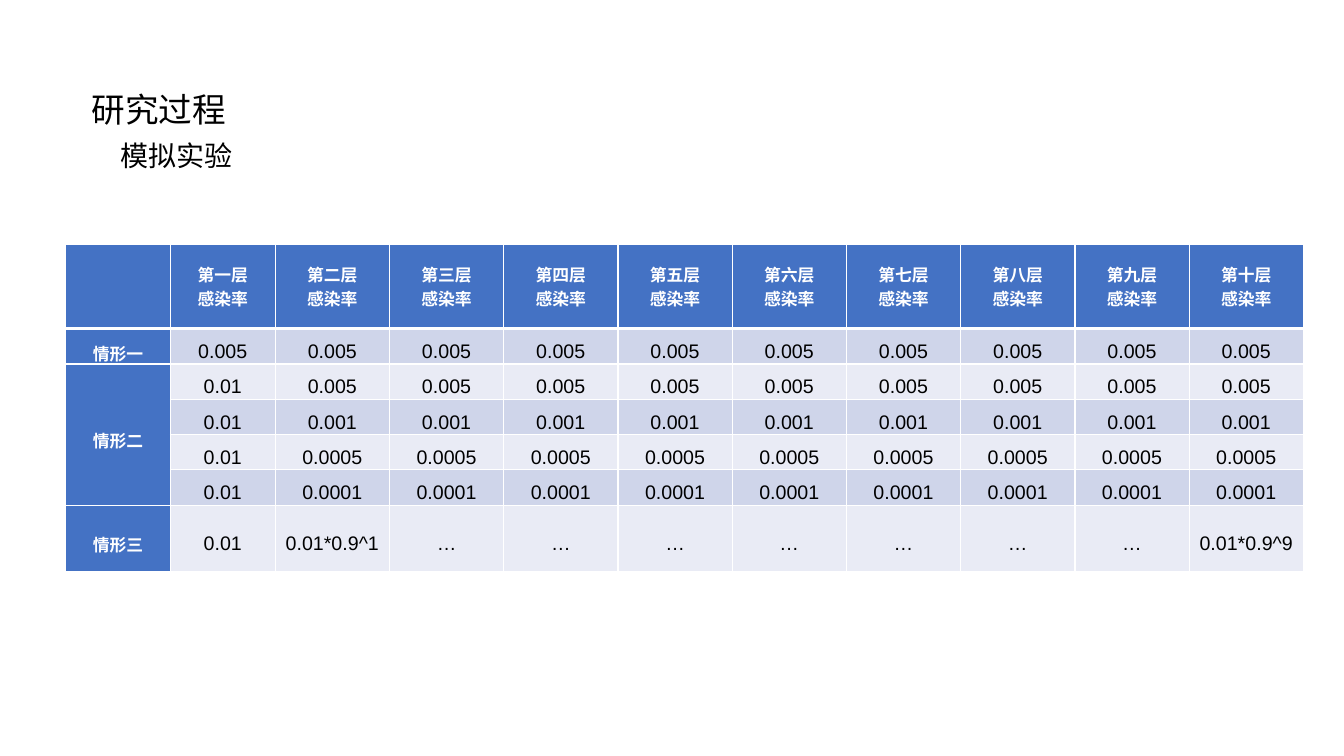
from dataclasses import dataclass

from lxml import etree
from pptx import Presentation, util as u
from pptx.dml import color
from pptx.enum import text
from pptx.oxml import ns

FONT = "Arial"
BLACK, WHITE, BLUE = "000000", "FFFFFF", "4472C4"
BANDS = ("CFD5EA", "E9EBF5")
LAYERS = "一二三四五六七八九十"
TABLE_WIDTH, NARROW_COLUMN = 12.28, 1.04
ROW_HEIGHTS = (0.84, 0.34, 0.34, 0.34, 0.34, 0.34, 0.66)
SCENARIO_TWO_ROWS = (2, 5)


@dataclass(frozen=True)
class Style:
    size: float
    color: str = BLACK
    bold: bool = False


@dataclass(frozen=True)
class Heading:
    words: str
    left: float
    top: float
    height: float
    size: float


@dataclass(frozen=True)
class Scenario:
    label: str
    rates: tuple[str, ...]


HEADINGS = (
    Heading("研究过程", 0.81, 0.83, 0.5, 24),
    Heading("模拟实验", 1.1, 1.33, 0.44, 20),
)
SCENARIOS = (
    Scenario("情形一", ("0.005",) * 10),
    Scenario("情形二", ("0.01",) + ("0.005",) * 9),
    Scenario("", ("0.01",) + ("0.001",) * 9),
    Scenario("", ("0.01",) + ("0.0005",) * 9),
    Scenario("", ("0.01",) + ("0.0001",) * 9),
    Scenario("情形三", ("0.01", "0.01*0.9^1") + ("…",) * 7 + ("0.01*0.9^9",)),
)
LABEL = Style(12, WHITE, True)
RATE = Style(14)


def rgb(value: str) -> color.RGBColor:
    return color.RGBColor.from_string(value)


def add_span(para, words: str, style: Style) -> None:
    span = para.add_run()
    span.text = words
    span.font.name = FONT
    span.font.size = u.Pt(style.size)
    span.font.bold = style.bold
    span.font.color.rgb = rgb(style.color)


def add_heading(page, heading: Heading) -> None:
    box = page.shapes.add_textbox(
        u.Inches(heading.left), u.Inches(heading.top), u.Inches(1.72), u.Inches(heading.height)
    )
    frame = box.text_frame
    frame.word_wrap = True
    frame.auto_size = text.MSO_AUTO_SIZE.SHAPE_TO_FIT_TEXT
    add_span(frame.paragraphs[0], heading.words, Style(heading.size))


def set_borders(cell, top: float, bottom: float) -> None:
    properties = cell._tc.get_or_add_tcPr()
    widths = {"a:lnL": 1, "a:lnR": 1, "a:lnT": top, "a:lnB": bottom}
    for position, (tag, width) in enumerate(widths.items()):
        line = etree.Element(ns.qn(tag), w=str(u.Pt(width)))
        fill = etree.SubElement(line, ns.qn("a:solidFill"))
        etree.SubElement(fill, ns.qn("a:srgbClr"), val=WHITE)
        properties.insert(position, line)


def fill_cell(cell, lines: tuple[str, ...], style: Style, fill: str, spacing: float) -> None:
    cell.fill.solid()
    cell.fill.fore_color.rgb = rgb(fill)
    cell.vertical_anchor = text.MSO_ANCHOR.MIDDLE
    cell.margin_left = cell.margin_right = u.Inches(0.07)
    cell.margin_top = cell.margin_bottom = 0
    frame = cell.text_frame
    for index, words in enumerate(lines):
        para = frame.add_paragraph() if index else frame.paragraphs[0]
        para.alignment = text.PP_ALIGN.CENTER
        para.line_spacing = spacing
        if words:
            add_span(para, words, style)


def add_rate_table(page) -> None:
    table = page.shapes.add_table(
        len(ROW_HEIGHTS), len(LAYERS) + 1,
        u.Inches(0.65), u.Inches(2.42), u.Inches(TABLE_WIDTH), u.Inches(sum(ROW_HEIGHTS)),
    ).table
    wide_column = (TABLE_WIDTH - 2 * NARROW_COLUMN) / (len(LAYERS) - 1)
    for index, column in enumerate(table.columns):
        column.width = u.Inches(NARROW_COLUMN if index < 2 else wide_column)
    for row, height in zip(table.rows, ROW_HEIGHTS):
        row.height = u.Inches(height)

    for index, layer in enumerate(LAYERS, 1):
        fill_cell(table.cell(0, index), (f"第{layer}层", "感染率"), LABEL, BLUE, 1)
    fill_cell(table.cell(0, 0), ("",), LABEL, BLUE, 1)
    for row, scenario in enumerate(SCENARIOS, 1):
        fill_cell(table.cell(row, 0), (scenario.label,), LABEL, BLUE, 1.5)
        for column, rate in enumerate(scenario.rates, 1):
            fill_cell(table.cell(row, column), (rate,), RATE, BANDS[(row - 1) % 2], 1.5)

    for row in range(len(ROW_HEIGHTS)):
        for column in range(len(LAYERS) + 1):
            set_borders(table.cell(row, column), 3 if row == 1 else 1, 3 if row == 0 else 1)
    first, last = SCENARIO_TWO_ROWS
    table.cell(first, 0).merge(table.cell(last, 0))


def main() -> None:
    deck = Presentation()
    deck.slide_width, deck.slide_height = u.Inches(13.33), u.Inches(7.5)
    page = deck.slides.add_slide(deck.slide_layouts[6])
    for heading in HEADINGS:
        add_heading(page, heading)
    add_rate_table(page)
    deck.save("out.pptx")


if __name__ == "__main__":
    main()
